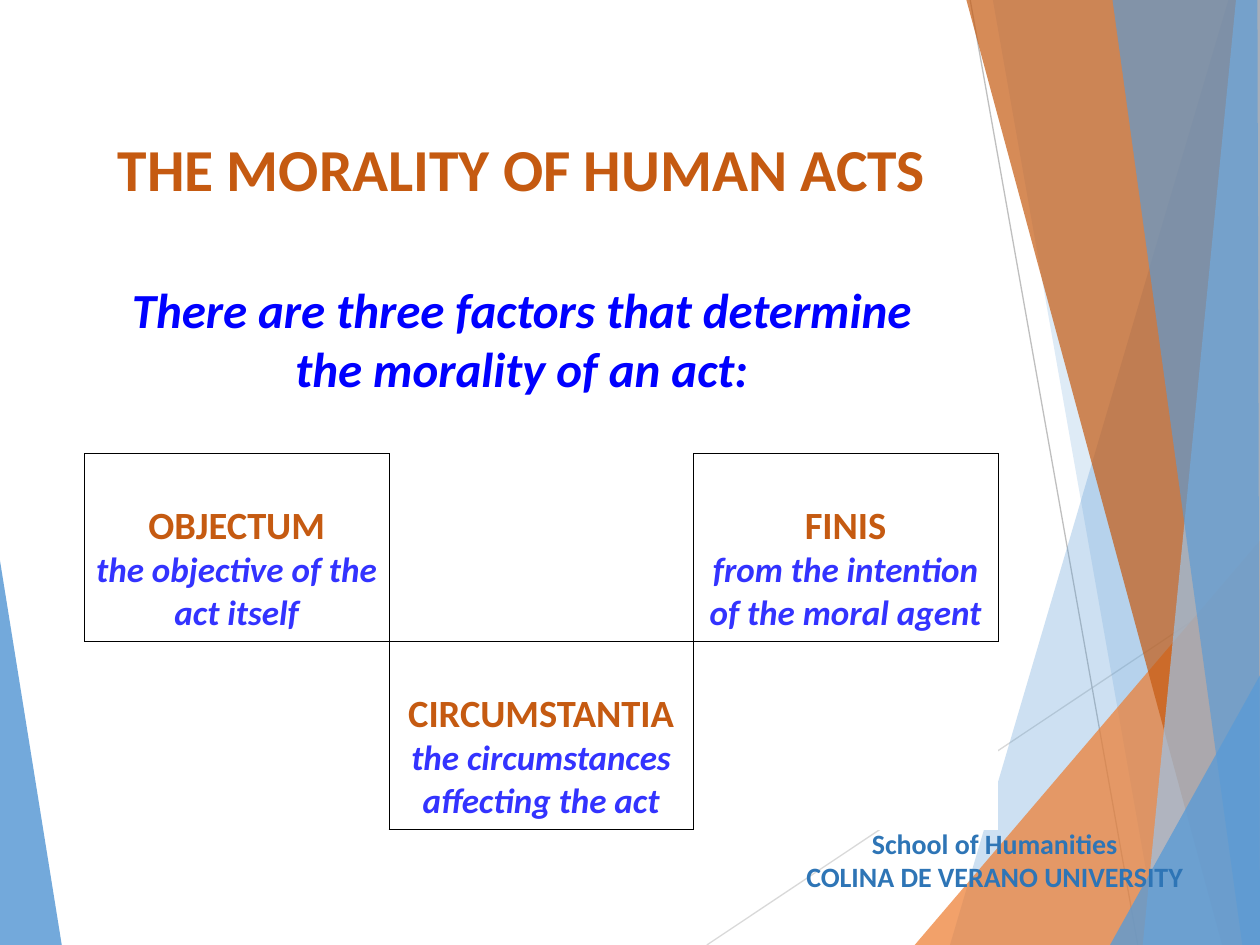
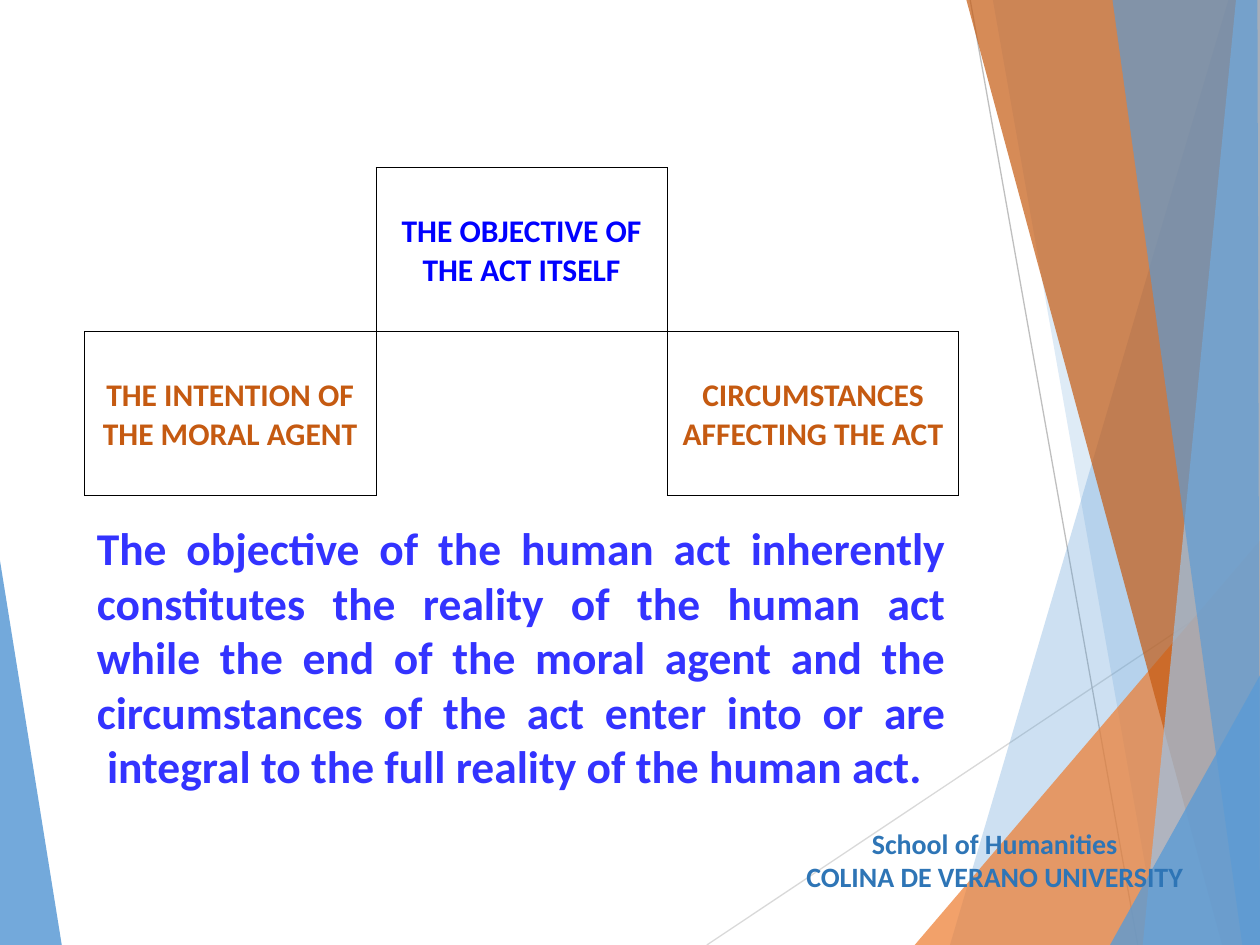
from lxml.etree import SubElement
from pptx import Presentation
from pptx.dml.color import RGBColor as RGB
from pptx.enum.shapes import MSO_CONNECTOR as CONN
from pptx.enum.text import PP_ALIGN as AL
from pptx.oxml.ns import qn
from pptx.util import Inches, Pt

# Theme: colours and type sizes
T = dict(
    font="Calibri", white="FFFFFF", black="000000",
    blue="5B9BD5", sky="9DC3E6", orange="ED7D31", rust="C55A11",
    bright="0000FF", violet="3333FF", foot="2E75B6",
    grey="D9D9D9", dark_grey="BFBFBF",
    title=34, lead=28, body=26, factor=22, detail=20, box=18, footer=16,
    border=0.45, rule=0.75,
)


def add_text(tf, text, size, color, italic=False, align=AL.CENTER):
    """Append a paragraph; a newline in the text is a line break."""
    p = tf.paragraphs[0]
    if p.runs:
        p = tf.add_paragraph()
    p.alignment = align
    for i, line in enumerate(text.split("\n")):
        if i:
            p.add_line_break()
        r = p.add_run()
        r.text = line
        f = r.font
        f.name, f.size, f.bold, f.italic = T["font"], Pt(size), True, italic
        f.color.rgb = RGB.from_string(color)


def add_boxes(s, left, top, width, row_height, rows, top_margin):
    """Draw a table whose lines enclose only the cells that hold text."""
    n_rows, n_cols = len(rows), len(rows[0])
    tbl = s.shapes.add_table(n_rows, n_cols, Inches(left), Inches(top),
                             Inches(width), Inches(row_height * n_rows)).table
    tbl.first_row = tbl.horz_banding = False
    for i, row in enumerate(rows):
        for j, paras in enumerate(row):
            cell = tbl.cell(i, j)
            cell.margin_left = cell.margin_right = Inches(0.08)
            cell.margin_top = Inches(top_margin)
            for text, fmt in paras:
                add_text(cell.text_frame, text, **fmt)
            # Cells next to a box share its edge
            edges = {"L": j > 0, "R": j < n_cols - 1,
                     "T": i > 0, "B": i < n_rows - 1}
            tc_pr = cell._tc.get_or_add_tcPr()
            for side, inner in edges.items():
                ln = SubElement(tc_pr, qn(f"a:ln{side}"),
                                w=str(Pt(T["border"])))
                if paras or inner:
                    fill = SubElement(ln, qn("a:solidFill"))
                    SubElement(fill, qn("a:srgbClr"), val=T["black"])
                else:
                    SubElement(ln, qn("a:noFill"))
            cell.fill.solid()
            cell.fill.fore_color.rgb = RGB.from_string(T["white"])


prs = Presentation()
prs.slide_width, prs.slide_height = Inches(10), Inches(7.5)

# Shared background: thin lines and translucent bands (colour, opacity, outline)
lines = [("grey", 5.61, 7.5, 10, 4.57), ("dark_grey", 7.7, 0, 9.03, 7.5)]
bands = [
    ("blue", 85, [(0, 4.45), (0.49, 7.5), (0, 7.5)]),
    ("blue", 30, [(9.75, 0), (7.54, 7.5), (10, 7.5), (10, 0)]),
    ("blue", 20, [(7.88, 0), (9.2, 7.5), (10, 7.5), (10, 0)]),
    ("orange", 72, [(7.26, 7.5), (10, 4.29), (10, 7.5)]),
    ("rust", 70, [(7.67, 0), (9.7, 7.5), (10, 7.5), (10, 0)]),
    ("sky", 70, [(9.81, 0), (9.07, 7.5), (10, 7.5), (10, 0)]),
    ("blue", 65, [(8.83, 0), (9.86, 7.5), (10, 7.5), (9.98, 0)]),
    ("blue", 80, [(8.81, 7.5), (10, 5.36), (10, 7.5)]),
]

# Text styles
factor = dict(size=T["factor"], color=T["rust"])
detail = dict(size=T["detail"], color=T["violet"], italic=True)
focus = dict(size=T["box"], color=T["bright"])
other = dict(size=T["box"], color=T["rust"])

# Slide contents: text blocks (place, text, format) and the box table
footer = ((6.26, 6.51, 3.27, 0.64),
          "School of Humanities\nCOLINA DE VERANO UNIVERSITY",
          dict(size=T["footer"], color=T["foot"]))
slides = [
    dict(
        texts=[
            ((0.67, 1, 6.94, 0.58), "THE MORALITY OF HUMAN ACTS",
             dict(size=T["title"], color=T["rust"])),
            ((0.67, 2.17, 6.94, 1.05),
             "There are three factors that determine the morality of an act:",
             dict(size=T["lead"], color=T["bright"], italic=True)),
        ],
        boxes=dict(left=0.67, top=3.6, width=7.25, row_height=1.47,
                   top_margin=0.39, rows=[
            [[("OBJECTUM", factor),
              ("the objective of the act itself", detail)],
             [],
             [("FINIS", factor),
              ("from the intention of the moral agent", detail)]],
            [[],
             [("CIRCUMSTANTIA", factor),
              ("the circumstances affecting the act", detail)],
             []],
        ]),
    ),
    dict(
        texts=[
            ((0.67, 4.08, 6.94, 2.27),
             "The objective of the human act inherently constitutes the "
             "reality of the human act while the end of the moral agent and "
             "the circumstances of the act enter into or are\n"
             " integral to the full reality of the human act.",
             dict(size=T["body"], color=T["violet"], align=AL.JUSTIFY)),
        ],
        boxes=dict(left=0.67, top=1.33, width=6.94, row_height=1.3,
                   top_margin=0.36, rows=[
            [[], [("THE OBJECTIVE OF THE ACT ITSELF", focus)], []],
            [[("THE INTENTION OF THE MORAL AGENT", other)],
             [],
             [("CIRCUMSTANCES AFFECTING THE ACT", other)]],
        ]),
    ),
]

for content in slides:
    s = prs.slides.add_slide(prs.slide_layouts[6])

    # Background lines
    for color, *ends in lines:
        cx = s.shapes.add_connector(CONN.STRAIGHT, *map(Inches, ends))
        cx.line.color.rgb = RGB.from_string(T[color])
        cx.line.width = Pt(T["rule"])
        SubElement(cx._element.spPr, qn("a:effectLst"))

    # Background bands
    for color, opacity, outline in bands:
        start, *rest = [(Inches(x), Inches(y)) for x, y in outline]
        fb = s.shapes.build_freeform(*start)
        fb.add_line_segments(rest, close=True)
        sp = fb.convert_to_shape()
        sp.shadow.inherit = False
        sp.line.fill.background()
        sp.fill.solid()
        sp.fill.fore_color.rgb = RGB.from_string(T[color])
        clr = sp._element.spPr.find(f"{qn('a:solidFill')}/{qn('a:srgbClr')}")
        SubElement(clr, qn("a:alpha"), val=str(opacity * 1000))

    # Box table, then text blocks and footer
    add_boxes(s, **content["boxes"])
    for place, text, fmt in content["texts"] + [footer]:
        tf = s.shapes.add_textbox(*map(Inches, place)).text_frame
        tf.word_wrap = True
        add_text(tf, text, **fmt)

prs.save("out.pptx")
